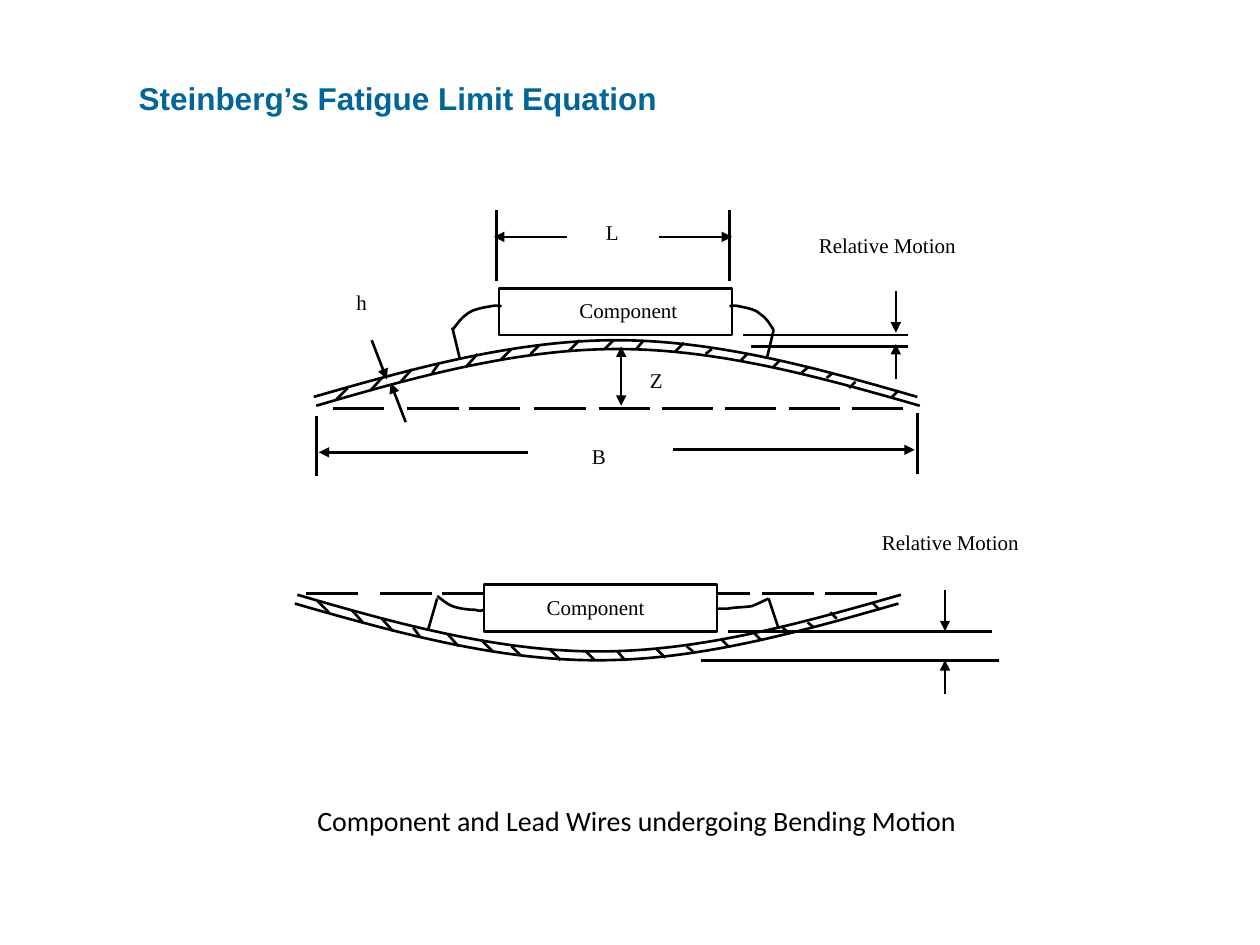
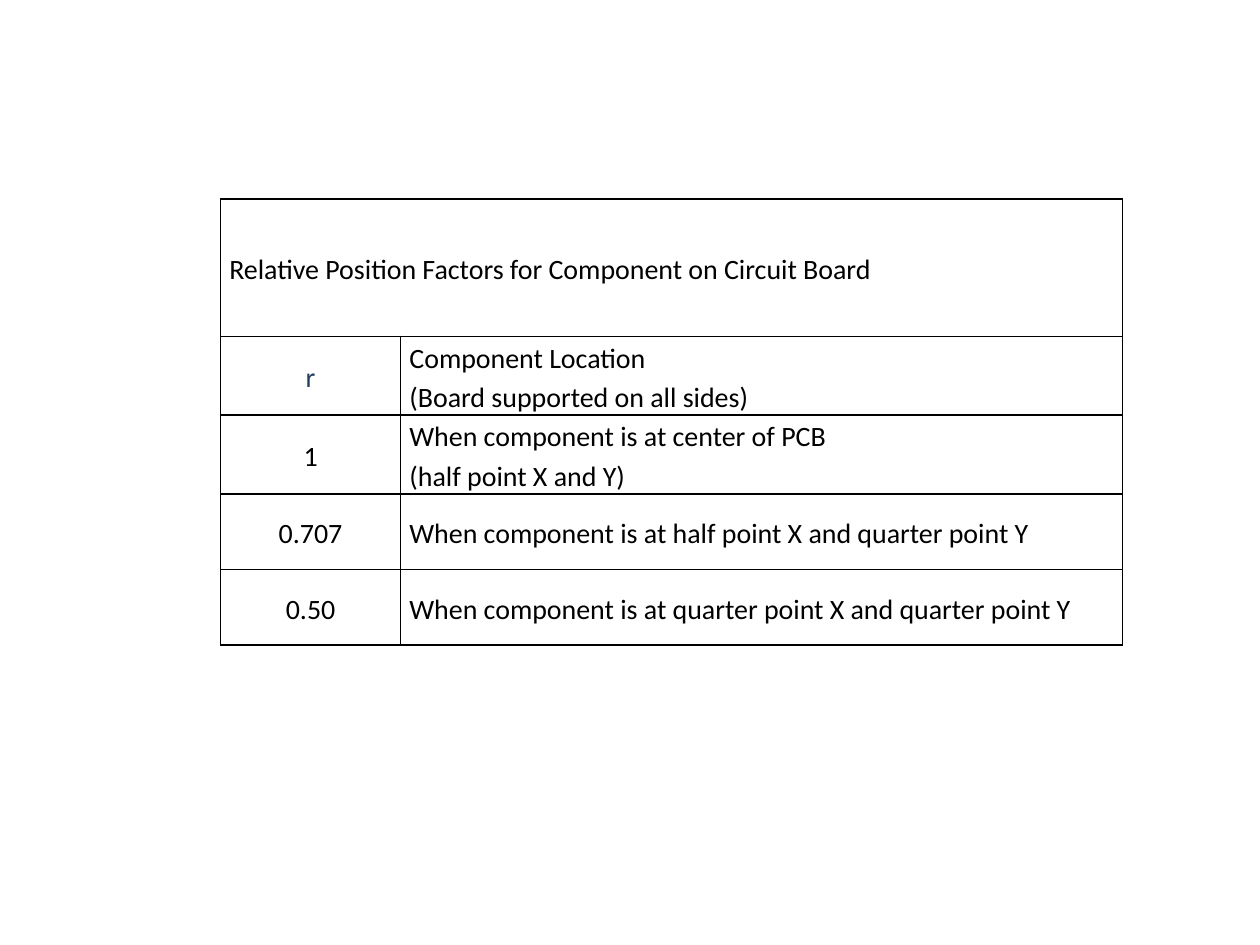
from itertools import product
from typing import NamedTuple

from lxml.etree import SubElement
from pptx import Presentation
from pptx.dml.color import RGBColor
from pptx.enum.shapes import MSO_CONNECTOR as Connector, MSO_SHAPE as Preset
from pptx.enum.text import MSO_ANCHOR as Anchor, MSO_AUTO_SIZE as AutoSize, PP_ALIGN as Align
from pptx.oxml.ns import qn
from pptx.shapes.base import BaseShape
from pptx.slide import Slide
from pptx.table import _Cell as Cell
from pptx.text.text import TextFrame
from pptx.util import Emu, Pt

EMU_PER_PX = 9144
BLACK = RGBColor(0x00, 0x00, 0x00)
WHITE = RGBColor(0xFF, 0xFF, 0xFF)
TITLE_BLUE = RGBColor(0x00, 0x66, 0x99)
FACTOR_BLUE = RGBColor(0x24, 0x3F, 0x60)
STROKE = Pt(1.5)
DASH_LENGTH = 41
MIRROR_SHIFT = 15
MIRROR_SUM = 794

Point = tuple[int, int]


class Box(NamedTuple):
    left: int
    top: int
    width: int
    height: int


class Segment(NamedTuple):
    x1: int
    y1: int
    x2: int
    y2: int
    head: bool = False
    tail: bool = False


class Label(NamedTuple):
    text: str
    box: Box


class TableRow(NamedTuple):
    height: int
    factor: str
    location: str
    factor_color: RGBColor = BLACK


TITLE_BOX = Box(100, 58, 517, 40)
CAPTION_BOX = Box(242, 633, 608, 37)
COMPONENTS = [Box(396, 229, 185, 37), Box(384, 464, 185, 37)]

DASH_ROWS = {
    324: [264, 323, 372, 424, 475, 525, 575, 626, 676],
    471: [243, 302, 351, 554, 605, 655],
}

EXTENSION_LINES = [
    Segment(251, 330, 251, 378),
    Segment(728, 328, 728, 376),
    Segment(394, 223, 394, 167),
    Segment(579, 223, 579, 167),
    Segment(590, 266, 721, 266),
    Segment(596, 275, 721, 275),
    Segment(578, 501, 787, 501),
    Segment(556, 524, 793, 524),
]

ARROWS = [
    Segment(392, 188, 450, 188, head=True),
    Segment(523, 188, 581, 188, tail=True),
    Segment(253, 359, 419, 359, head=True),
    Segment(534, 357, 726, 357, tail=True),
    Segment(493, 275, 493, 322, head=True, tail=True),
    Segment(711, 264, 711, 231, head=True),
    Segment(711, 301, 711, 273, tail=True),
    Segment(310, 304, 322, 335, head=True),
    Segment(307, 301, 295, 270, head=True),
    Segment(750, 501, 750, 468, head=True),
    Segment(750, 551, 750, 524, tail=True),
]

LEAD_ENDS = [
    Segment(365, 285, 359, 260),
    Segment(609, 283, 614, 262),
    Segment(340, 499, 347, 475),
    Segment(618, 499, 610, 475),
]

LEAD_WIRES = [
    [(398, 243), (396, 243), (394, 242), (390, 243), (385, 244),
     (376, 245), (371, 249), (366, 252), (363, 257), (359, 262)],
    [(579, 243), (581, 243), (582, 242), (586, 243), (590, 244),
     (599, 245), (603, 249), (608, 252), (611, 257), (614, 262)],
    [(384, 484), (383, 485), (381, 485), (377, 484), (372, 484),
     (364, 483), (359, 481), (354, 479), (351, 476), (347, 473)],
    [(569, 483), (571, 483), (573, 483), (578, 483), (582, 482),
     (592, 482), (597, 481), (602, 479), (606, 477), (610, 475)],
]

BOARD_FACES = [
    [(249, 315), (329, 292), (409, 270), (489, 270), (569, 270), (648, 292), (728, 315)],
    [(251, 322), (330, 299), (410, 277), (490, 277), (570, 277), (650, 299), (730, 322)],
]

HATCHES = [
    Segment(267, 317, 276, 308),
    Segment(294, 310, 303, 300),
    Segment(318, 303, 327, 293),
    Segment(343, 296, 348, 289),
    Segment(370, 291, 379, 281),
    Segment(397, 286, 406, 277),
    Segment(421, 281, 428, 274),
    Segment(451, 279, 460, 270),
    Segment(480, 277, 487, 270),
    Segment(505, 277, 511, 270),
    Segment(536, 279, 543, 272),
    Segment(560, 281, 565, 277),
    Segment(588, 286, 593, 281),
    Segment(614, 291, 619, 286),
    Segment(636, 296, 642, 291),
    Segment(656, 300, 661, 296),
    Segment(674, 308, 679, 303),
    Segment(708, 315, 713, 310),
]

LABELS = [
    Label("L", Box(471, 169, 48, 33)),
    Label("B", Box(460, 347, 47, 39)),
    Label("Z", Box(506, 287, 35, 29)),
    Label("h", Box(273, 225, 32, 33)),
    Label("Relative Motion", Box(640, 180, 139, 35)),
    Label("Relative Motion", Box(690, 415, 131, 41)),
    Label("Component", Box(450, 231, 103, 28)),
    Label("Component", Box(424, 467, 103, 29)),
]

TABLE_BOX = Box(175, 158, 716, 349)
TABLE_COLUMNS = [143, 573]
TABLE_HEADING = "Relative Position Factors for Component on Circuit Board"
TABLE_HEADING_HEIGHT = 109
TABLE_ROWS = [
    TableRow(60, "r", "Component Location\n(Board supported on all sides)", FACTOR_BLUE),
    TableRow(60, "1", "When component is at center of PCB\n(half point X and Y)"),
    TableRow(60, "0.707", "When component is at half point X and quarter point Y"),
    TableRow(60, "0.50", "When component is at quarter point X and quarter point Y"),
]


def px(length: int) -> Emu:
    return Emu(length * EMU_PER_PX)


def emu_box(box: Box) -> list[Emu]:
    return [px(length) for length in box]


def format_runs(frame: TextFrame, font: str, size: int,
                color: RGBColor = BLACK, bold: bool = False) -> None:
    for paragraph in frame.paragraphs:
        for run in paragraph.runs:
            run.font.name = font
            run.font.size = Pt(size)
            run.font.bold = bold
            run.font.color.rgb = color


def mirror(point: Point) -> Point:
    return point[0] - MIRROR_SHIFT, MIRROR_SUM - point[1]


def draw_segment(slide: Slide, segment: Segment) -> None:
    ends = [px(length) for length in segment[:4]]
    connector = slide.shapes.add_connector(Connector.STRAIGHT, *ends)
    connector.line.color.rgb = BLACK
    connector.line.width = STROKE
    properties = connector._element.spPr
    outline = properties.find(qn("a:ln"))
    for tag, present in (("a:headEnd", segment.head), ("a:tailEnd", segment.tail)):
        if present:
            SubElement(outline, qn(tag), type="triangle")
    SubElement(properties, qn("a:effectLst"))


def draw_curve(slide: Slide, points: list[Point]) -> None:
    builder = slide.shapes.build_freeform(*points[0], scale=EMU_PER_PX)
    builder.add_line_segments(points[1:], close=False)
    shape = builder.convert_to_shape()
    shape.shadow.inherit = False
    shape.fill.background()
    shape.line.color.rgb = BLACK
    shape.line.width = STROKE
    outline = shape._element.find(".//" + qn("a:path"))
    steps = outline.findall(qn("a:lnTo"))
    for start in range(0, len(steps), 3):
        bezier = SubElement(outline, qn("a:cubicBezTo"))
        for step in steps[start:start + 3]:
            bezier.append(step[0])
            outline.remove(step)


def draw_rectangle(slide: Slide, box: Box) -> BaseShape:
    shape = slide.shapes.add_shape(Preset.RECTANGLE, *emu_box(box))
    shape.shadow.inherit = False
    shape.fill.solid()
    shape.fill.fore_color.rgb = WHITE
    shape.line.fill.background()
    return shape


def draw_component(slide: Slide, box: Box) -> None:
    shape = draw_rectangle(slide, box)
    shape.line.color.rgb = BLACK
    shape.line.width = STROKE


def draw_label(slide: Slide, label: Label) -> None:
    frame = draw_rectangle(slide, label.box).text_frame
    frame.text = label.text
    frame.word_wrap = True
    frame.vertical_anchor = Anchor.TOP
    frame.paragraphs[0].alignment = Align.LEFT
    frame.paragraphs[0].space_after = Pt(10)
    format_runs(frame, "Times New Roman", 12)


def fill_cell(cell: Cell, text: str, alignment: Align, color: RGBColor = BLACK) -> None:
    cell.text_frame.text = text
    cell.vertical_anchor = Anchor.MIDDLE
    cell.margin_left = cell.margin_right = px(7)
    cell.margin_top = cell.margin_bottom = 0
    for paragraph in cell.text_frame.paragraphs:
        paragraph.alignment = alignment
        paragraph.line_spacing = 1.15
    format_runs(cell.text_frame, "Calibri", 16, color)


def border_cell(cell: Cell) -> None:
    properties = cell._tc.get_or_add_tcPr()
    for side in "LRTB":
        border = SubElement(properties, qn(f"a:ln{side}"), w=str(Pt(1)))
        fill = SubElement(border, qn("a:solidFill"))
        SubElement(fill, qn("a:srgbClr"), val=str(BLACK))
    cell.fill.background()


def build_bending_slide(presentation: Presentation) -> None:
    slide = presentation.slides.add_slide(presentation.slide_layouts.get_by_name("Title Only"))
    title = slide.shapes.title
    title.left, title.top, title.width, title.height = emu_box(TITLE_BOX)
    title.text_frame.text = "Steinberg’s Fatigue Limit Equation"
    title.text_frame.word_wrap = True
    title.text_frame.auto_size = AutoSize.NONE
    title.text_frame.vertical_anchor = Anchor.TOP
    title.text_frame.paragraphs[0].alignment = Align.LEFT
    format_runs(title.text_frame, "Arial", 18, TITLE_BLUE, bold=True)

    dashes = [Segment(left, y, left + DASH_LENGTH, y)
              for y, lefts in DASH_ROWS.items() for left in lefts]
    mirrored_hatches = [Segment(*mirror(hatch[:2]), *mirror(hatch[2:4])) for hatch in HATCHES]
    mirrored_faces = [[mirror(point) for point in face] for face in BOARD_FACES]
    for segment in dashes:
        draw_segment(slide, segment)
    for box in COMPONENTS:
        draw_component(slide, box)
    for segment in EXTENSION_LINES + ARROWS + LEAD_ENDS + HATCHES + mirrored_hatches:
        draw_segment(slide, segment)
    for points in LEAD_WIRES + BOARD_FACES + mirrored_faces:
        draw_curve(slide, points)
    for label in LABELS:
        draw_label(slide, label)

    caption = slide.shapes.add_textbox(*emu_box(CAPTION_BOX)).text_frame
    caption.text = "Component and Lead Wires undergoing Bending Motion"
    caption.word_wrap = True
    format_runs(caption, "Calibri", 16)


def build_factor_slide(presentation: Presentation) -> None:
    slide = presentation.slides.add_slide(presentation.slide_layouts.get_by_name("Blank"))
    row_count, column_count = len(TABLE_ROWS) + 1, len(TABLE_COLUMNS)
    table = slide.shapes.add_table(row_count, column_count, *emu_box(TABLE_BOX)).table
    table.first_row = table.horz_banding = False
    for column, width in zip(table.columns, TABLE_COLUMNS):
        column.width = px(width)
    table.rows[0].height = px(TABLE_HEADING_HEIGHT)
    table.cell(0, 0).merge(table.cell(0, 1))
    fill_cell(table.cell(0, 0), TABLE_HEADING, Align.LEFT)
    for index, row in enumerate(TABLE_ROWS, start=1):
        table.rows[index].height = px(row.height)
        fill_cell(table.cell(index, 0), row.factor, Align.CENTER, row.factor_color)
        fill_cell(table.cell(index, 1), row.location, Align.LEFT)
    for position in product(range(row_count), range(column_count)):
        border_cell(table.cell(*position))


def main() -> None:
    presentation = Presentation()
    presentation.slide_width, presentation.slide_height = px(1000), px(750)
    build_bending_slide(presentation)
    build_factor_slide(presentation)
    presentation.save("out.pptx")


if __name__ == "__main__":
    main()
